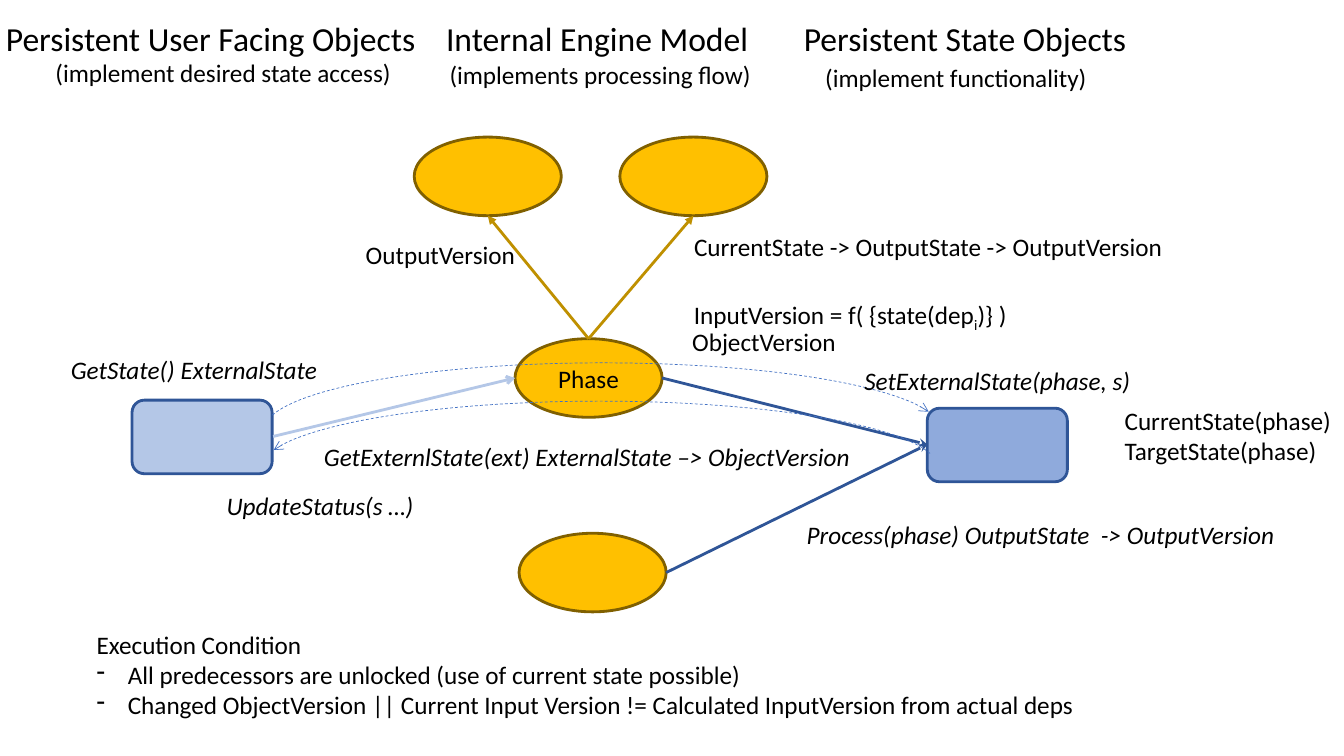
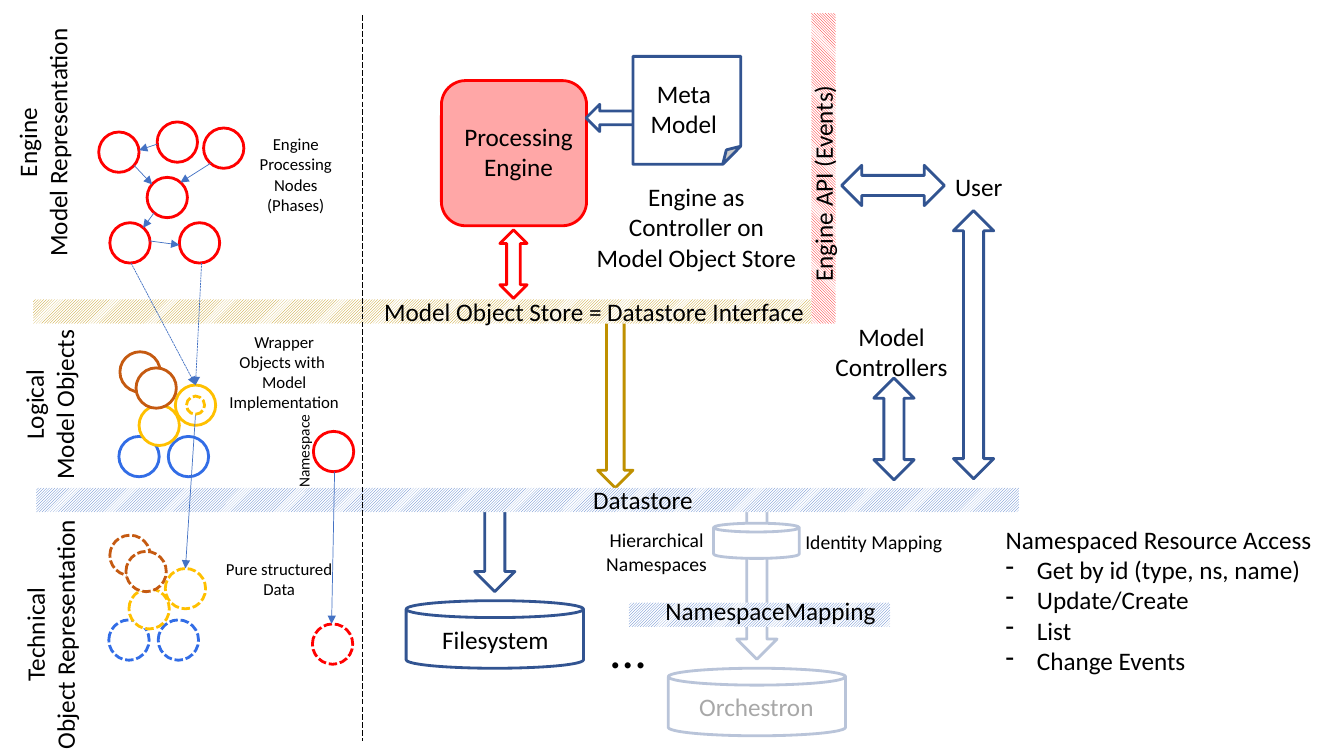
from pptx import Presentation
from pptx.dml.color import RGBColor
from pptx.enum.dml import MSO_LINE as Dash, MSO_PATTERN as Pattern
from pptx.enum.shapes import MSO_CONNECTOR, MSO_SHAPE as Preset
from pptx.enum.text import MSO_ANCHOR, MSO_AUTO_SIZE, PP_ALIGN
from pptx.oxml.ns import qn
from pptx.util import Cm, Pt
from lxml.etree import SubElement

FONT = "Calibri"
BLACK, WHITE, RED, GOLD, DARK_GOLD = "000000", "FFFFFF", "FF0000", "FFC000", "BF9000"
BLUE, NAVY, PALE_BLUE, DEEP_BLUE = "4472C4", "2F5597", "B4C7E7", "325491"
ROYAL, BROWN = "326DE6", "C55A11"
CM_PER_UNIT = 2.54  # the layout grid has a unit of 2.54 cm
BULLET_INDENT = 0.31

# ---- Slide 1: phases. Boxes are left, top, width, height in grid units.
COLUMN_HEADINGS = [
    ("Persistent User Facing Objects", (-0.06, 0.13, 4.3, 0.5)),
    ("Internal Engine Model", (4.31, 0.13, 3.23, 0.5)),
    ("Persistent State Objects", (7.86, 0.13, 3.43, 0.5)),
]
PHASE_LABELS = [
    ("(implement desired state access)", (0.38, 0.52, 3.67, 0.4)),
    ("(implements processing flow)", (4.34, 0.54, 3.23, 0.4)),
    ("(implement functionality)", (8.07, 0.57, 2.83, 0.4)),
    ("CurrentState -> OutputState -> OutputVersion", (6.76, 2.25, 4.9, 0.4)),
    ("OutputVersion", (3.52, 2.33, 1.7, 0.4)),
    ("InputVersion = f( {state(dep~i~)} )", (6.76, 2.92, 3.35, 0.4)),
    ("ObjectVersion", (6.76, 3.19, 1.64, 0.4)),
]
CALLS = [
    ("GetState() ExternalState", (0.59, 3.47, 2.67, 0.4)),
    ("SetExternalState(phase, s)", (8.46, 3.58, 2.87, 0.4)),
    ("UpdateStatus(s …)", (2.13, 4.82, 2.09, 0.4)),
    ("Process(phase) OutputState  -> OutputVersion", (7.88, 5.1, 4.89, 0.4)),
    ("GetExternlState(ext) ExternalState –> ObjectVersion", (3.09, 4.33, 5.47, 0.4)),
]
LEFT_TEXTS = [
    ("CurrentState(phase)\nTargetState(phase)", (11.06, 3.97, 2.27, 0.71)),
    ("Execution Condition\n"
     "- All predecessors are unlocked (use of current state possible)\n"
     "- Changed ObjectVersion || Current Input Version != Calculated InputVersion from actual deps",
     (0.86, 6.19, 10.02, 1.01)),
]
PHASE_SIZE, OBJECT_SIZE = (1.46, 0.78), (1.39, 0.73)
PHASES = [((4.11, 1.36), ""), ((6.15, 1.36), ""), ((5.11, 3.36), "Phase"), ((5.15, 5.29), "")]
STATE_OBJECTS = [((1.31, 3.97), PALE_BLUE), ((9.2, 4.05), "8FAADC")]
PHASE_ARROWS = [
    ((5.84, 3.36), (4.84, 2.14), DARK_GOLD, "triangle"),
    ((5.84, 3.36), (6.88, 2.14), DARK_GOLD, "triangle"),
    ((2.71, 4.33), (5.11, 3.75), PALE_BLUE, "arrow"),
    ((6.57, 3.75), (9.2, 4.41), NAVY, "stealth"),
    ((6.61, 5.68), (9.2, 4.41), NAVY, "stealth"),
]
ARCS = [((2.62, 3.6, 6.72, 1.33), False), ((2.59, 3.98, 6.72, 1.33), True)]
ARC_ANGLES = (109.535, 214.092)

# ---- Slide 2: architecture
BACKGROUND_SHAPES = [
    (Preset.DOWN_ARROW, (5.93, 3.17, 0.35, 1.67), DARK_GOLD, None),
    (Preset.CAN, (4.03, 5.96, 1.76, 0.67), DEEP_BLUE, None),
    (Preset.CAN, (6.63, 6.63, 1.76, 0.67), DEEP_BLUE, None),
    (Preset.DOWN_ARROW, (4.71, 5.06, 0.4, 0.81), DEEP_BLUE, None),
    (Preset.DOWN_ARROW, (7.31, 4.94, 0.4, 1.6), DEEP_BLUE, None),
    (Preset.CAN, (7.08, 5.19, 0.85, 0.35), DEEP_BLUE, WHITE),
]
FADED_LABEL = ("Orchestron", (6.82, 6.81, 1.37, 0.4))
VEIL = (6.24, 5, 2.58, 2.36)
BANDS = [
    ((0.36, 4.84, 9.75, 0.24), Pattern.LIGHT_UPWARD_DIAGONAL, BLUE, 0),
    ((0.33, 2.97, 7.73, 0.24), Pattern.LIGHT_UPWARD_DIAGONAL, DARK_GOLD, 0),
    ((6.24, 5.98, 2.59, 0.24), Pattern.LIGHT_UPWARD_DIAGONAL, BLUE, 0),
    ((6.63, 1.55, 3.08, 0.24), Pattern.DARK_DOWNWARD_DIAGONAL, RED, 90),
]
CIRCLE = 0.4
CLUSTER = [(1.19, 3.49, BROWN), (1.74, 3.82, GOLD), (1.18, 4.33, ROYAL),
           (1.67, 4.33, ROYAL), (1.38, 4.02, GOLD), (1.35, 3.65, BROWN)]
CLUSTER_LAYERS = [((0, 0), None), ((-0.1, 1.82), Dash.SQUARE_DOT)]
ENGINE_NODES = [(1.56, 1.21), (2.02, 1.27), (1.09, 2.21), (1.78, 2.21), (1.46, 1.76), (0.98, 1.31)]
NAMESPACE_NODES = [((3.11, 4.28), None), ((3.1, 6.19), Dash.SQUARE_DOT)]
INNER_CIRCLE = (1.85, 3.93, 0.18, 0.18)
NODE_ARROWS = [
    ((1.94, 4.11), (1.84, 5.64)), ((1.48, 2.39), (1.78, 2.43)), ((1.53, 2.11), (1.42, 2.26)),
    ((1.33, 1.64), (1.51, 1.83)), ((1.56, 1.43), (1.38, 1.49)), ((2.09, 1.62), (1.79, 1.81)),
    ((3.32, 4.68), (3.29, 6.19)),
]
WRAPPER_ARROWS = [((2, 2.61), (1.94, 3.82)), ((1.3, 2.61), (1.94, 3.82))]
DIVIDER = ((3.6, 0.15), (3.6, 7.35))
ENGINE_SHAPES = [
    (Preset.ROUNDED_RECTANGLE, (4.38, 0.8, 1.44, 1.44), RED, "FFA7A7", 0),
    (Preset.UP_DOWN_ARROW, (4.96, 2.28, 0.27, 0.68), RED, None, 0),
    (Preset.DOWN_ARROW, (5.93, 0.92, 0.27, 0.5), DEEP_BLUE, None, 90),
    (Preset.FOLDED_CORNER, (6.28, 0.56, 1.07, 1.07), DEEP_BLUE, WHITE, 0),
    (Preset.UP_DOWN_ARROW, (9.46, 2.09, 0.4, 2.66), DEEP_BLUE, None, 0),
    (Preset.UP_DOWN_ARROW, (8.67, 3.75, 0.4, 1.01), DEEP_BLUE, None, 0),
    (Preset.UP_DOWN_ARROW, (8.66, 1.33, 0.4, 1.02), DEEP_BLUE, None, 90),
]
ARCHITECTURE_LABELS = [
    ("Filesystem", (4.28, 6.14, 1.27, 0.4), 18),
    ("Datastore", (5.78, 4.76, 1.2, 0.4), 18),
    ("Model Object Store = Datastore Interface", (3.69, 2.89, 4.41, 0.4), 18),
    ("NamespaceMapping", (6.49, 5.86, 2.31, 0.4), 18),
    ("Processing\nEngine", (4.5, 1.15, 1.29, 0.71), 18),
    ("Meta\nModel", (6.35, 0.73, 0.87, 0.71), 18),
    ("User", (9.37, 1.65, 0.68, 0.4), 18),
    ("Model\nControllers", (8.18, 3.14, 1.33, 0.71), 18),
    ("Engine as\nController on\nModel Object Store", (5.81, 1.75, 2.2, 1.01), 18),
    ("Identity Mapping", (7.88, 5.21, 1.58, 0.34), 14),
    ("Hierarchical\nNamespaces", (5.91, 5.19, 1.21, 0.57), 14),
    ("Wrapper\nObjects with \nModel\nImplementation", (2.17, 3.24, 1.3, 0.91), 12),
    ("Pure structured\nData", (2.14, 5.49, 1.26, 0.5), 12),
    ("Engine\nProcessing\nNodes\n(Phases)", (2.47, 1.28, 0.93, 0.91), 12),
]
VERTICAL_LABELS = [
    ("Technical\nObject Representation", (-0.75, 5.94, 2.5, 0.71), 18),
    ("Logical\nModel Objects", (-0.36, 3.66, 1.7, 0.71), 18),
    ("Engine\nModel Representation", (-0.82, 1.06, 2.49, 0.71), 18),
    ("Engine API (Events)", (7.08, 1.62, 2.17, 0.4), 18),
    ("Namespace", (2.55, 4.33, 0.93, 0.29), 11),
]
RESOURCE_ACCESS = ("Namespaced Resource Access\n- Get by id (type, ns, name)\n"
                   "- Update/Create\n- List\n- Change Events", (9.88, 5.15, 3.37, 1.62))
ELLIPSIS = ("…", (5.96, 6.08, 0.49, 0.71))


def lengths(values):
    """Turn grid units into lengths."""
    return [Cm(value * CM_PER_UNIT) for value in values]


def rgb(color):
    return RGBColor.from_string(color)


def write(frame, text, size=18, italic=False, align=PP_ALIGN.CENTER):
    """Fill a frame; "- " starts a bullet and ~x~ sets x as subscript."""
    for index, line in enumerate(text.split("\n")):
        paragraph = frame.paragraphs[0] if index == 0 else frame.add_paragraph()
        paragraph.alignment = align
        if line.startswith("- "):
            line = line[2:]
            indent = Cm(BULLET_INDENT * CM_PER_UNIT)
            properties = paragraph._p.get_or_add_pPr()
            properties.set("marL", str(indent))
            properties.set("indent", str(-indent))
            SubElement(properties, qn("a:buChar")).set("char", "-")
        for position, part in enumerate(line.split("~")):
            run = paragraph.add_run()
            run.text = part
            font = run.font
            font.name, font.size, font.italic = FONT, Pt(size), italic
            font.color.rgb = rgb(BLACK)
            if position % 2:
                run._r.get_or_add_rPr().set("baseline", "-25000")


def add_text(slide, text, box, rotation=0, wrap=False, **text_format):
    shape = slide.shapes.add_textbox(*lengths(box))
    shape.rotation = rotation
    shape.text_frame.word_wrap = wrap
    shape.text_frame.auto_size = MSO_AUTO_SIZE.SHAPE_TO_FIT_TEXT
    write(shape.text_frame, text, **text_format)


def style_line(line, color, width, dash):
    line.color.rgb = rgb(color)
    line.width = Pt(width)
    if dash is not None:
        line.dash_style = dash


def add_head(shape, head):
    outline = shape._element.spPr.find(qn("a:ln"))
    SubElement(outline, qn("a:tailEnd")).set("type", head)


def add_shape(slide, preset, box, fill=None, line=None, width=2, dash=None, rotation=0):
    shape = slide.shapes.add_shape(preset, *lengths(box))
    shape.shadow.inherit = False
    shape.rotation = rotation
    if fill:
        shape.fill.solid()
        shape.fill.fore_color.rgb = rgb(fill)
    else:
        shape.fill.background()
    if line:
        style_line(shape.line, line, width, dash)
    else:
        shape.line.fill.background()
    return shape


def add_line(slide, start, end, color=BLUE, width=0.5, dash=None, head=None):
    connector = slide.shapes.add_connector(MSO_CONNECTOR.STRAIGHT, *lengths(start + end))
    style_line(connector.line, color, width, dash)
    if head:
        add_head(connector, head)
    SubElement(connector._element.spPr, qn("a:effectLst"))


def build_phases(slide):
    for corner, name in PHASES:
        phase = add_shape(slide, Preset.OVAL, corner + PHASE_SIZE, GOLD, "806000")
        if name:
            phase.text_frame.vertical_anchor = MSO_ANCHOR.MIDDLE
            write(phase.text_frame, name)
    for corner, fill in STATE_OBJECTS:
        add_shape(slide, Preset.ROUNDED_RECTANGLE, corner + OBJECT_SIZE, fill, NAVY)
    for start, end, color, head in PHASE_ARROWS:
        add_line(slide, start, end, color, width=2, head=head)
    for box, flipped in ARCS:
        arc = add_shape(slide, Preset.ARC, box, line=BLUE, width=0.5, dash=Dash.DASH)
        for index, angle in enumerate(ARC_ANGLES):
            arc.adjustments[index] = angle
        add_head(arc, "arrow")
        if flipped:
            arc._element.spPr.find(qn("a:xfrm")).set("flipH", "1")
    for text, box in COLUMN_HEADINGS:
        add_text(slide, text, box, size=24)
    for text, box in PHASE_LABELS:
        add_text(slide, text, box)
    for text, box in CALLS:
        add_text(slide, text, box, italic=True)
    for text, box in LEFT_TEXTS:
        add_text(slide, text, box, align=PP_ALIGN.LEFT)


def build_architecture(slide):
    for preset, box, line, fill in BACKGROUND_SHAPES:
        add_shape(slide, preset, box, fill, line)
    add_text(slide, *FADED_LABEL)
    veil = add_shape(slide, Preset.RECTANGLE, VEIL, WHITE)
    veil_color = veil._element.spPr.find(qn("a:solidFill")).find(qn("a:srgbClr"))
    SubElement(veil_color, qn("a:alpha")).set("val", "66000")
    for box, pattern, color, rotation in BANDS:
        band = add_shape(slide, Preset.RECTANGLE, box, rotation=rotation)
        band.fill.patterned()
        band.fill.pattern = pattern
        band.fill.fore_color.rgb = rgb(color)
        band.fill.back_color.rgb = rgb(WHITE)

    for (shift_x, shift_y), dash in CLUSTER_LAYERS:
        for left, top, color in CLUSTER:
            box = (left + shift_x, top + shift_y, CIRCLE, CIRCLE)
            add_shape(slide, Preset.OVAL, box, WHITE, color, dash=dash)
    for corner in ENGINE_NODES:
        add_shape(slide, Preset.OVAL, corner + (CIRCLE, CIRCLE), WHITE, RED)
    for corner, dash in NAMESPACE_NODES:
        add_shape(slide, Preset.OVAL, corner + (CIRCLE, CIRCLE), line=RED, dash=dash)
    for start, end in NODE_ARROWS:
        add_line(slide, start, end, head="triangle")
    for start, end in WRAPPER_ARROWS:
        add_line(slide, start, end, dash=Dash.SQUARE_DOT, head="triangle")
    add_shape(slide, Preset.OVAL, INNER_CIRCLE, WHITE, GOLD, dash=Dash.SQUARE_DOT)
    add_line(slide, *DIVIDER, color=BLACK, dash=Dash.LONG_DASH)

    for preset, box, line, fill, rotation in ENGINE_SHAPES:
        add_shape(slide, preset, box, fill, line, rotation=rotation)
    for text, box, size in ARCHITECTURE_LABELS:
        add_text(slide, text, box, size=size)
    for text, box, size in VERTICAL_LABELS:
        add_text(slide, text, box, rotation=270, size=size)
    add_text(slide, *RESOURCE_ACCESS, align=PP_ALIGN.LEFT)
    add_text(slide, *ELLIPSIS, wrap=True, size=36)


def main():
    presentation = Presentation()
    presentation.slide_width, presentation.slide_height = Cm(33.87), Cm(19.05)
    blank_layout = presentation.slide_layouts[6]
    for build in (build_phases, build_architecture):
        build(presentation.slides.add_slide(blank_layout))
    presentation.save("out.pptx")


if __name__ == "__main__":
    main()
